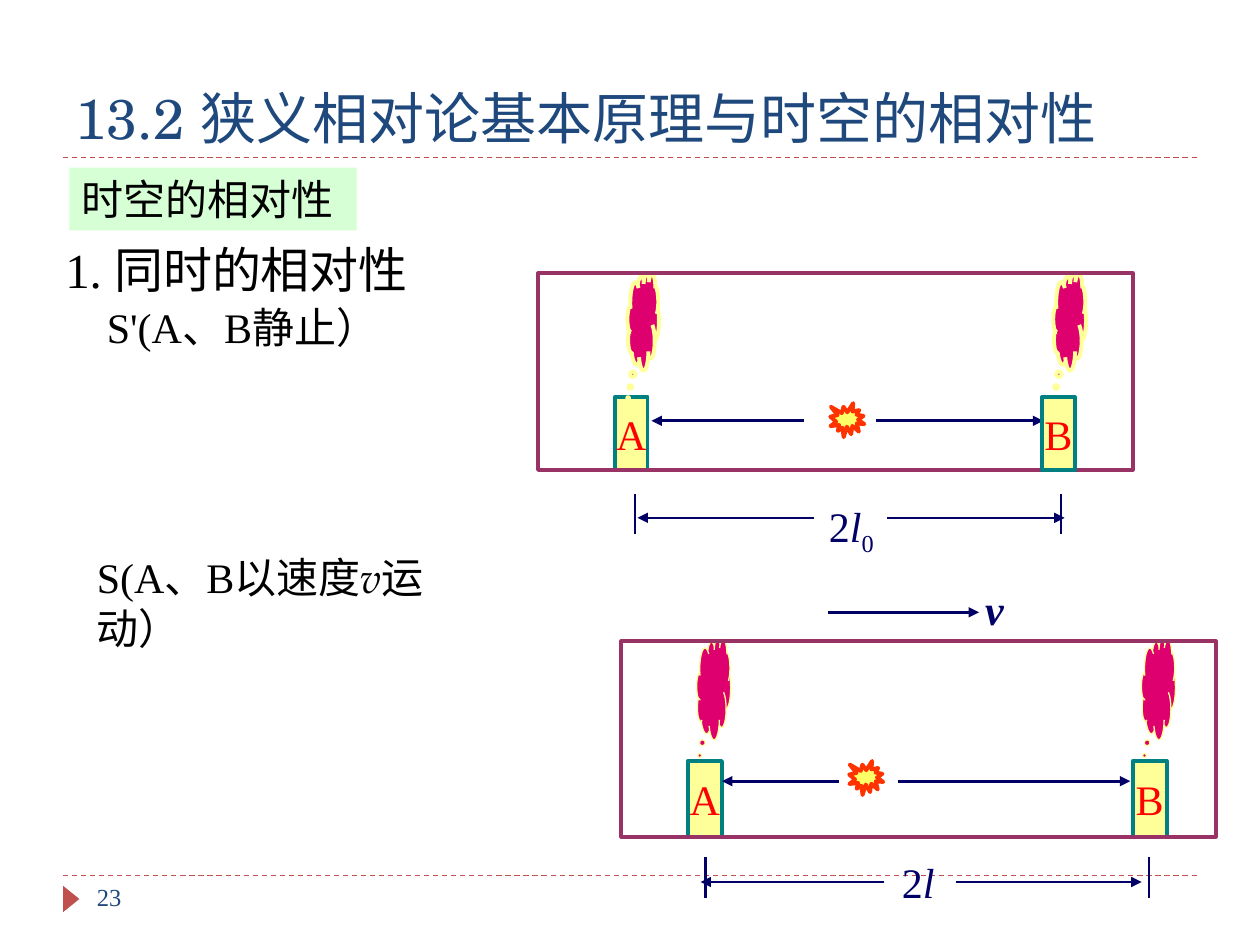
from dataclasses import dataclass
from typing import NamedTuple, Optional

from lxml import etree
from pptx import Presentation
from pptx.dml.color import RGBColor
from pptx.enum.dml import MSO_LINE
from pptx.enum.shapes import MSO_CONNECTOR, MSO_SHAPE
from pptx.enum.text import MSO_ANCHOR, MSO_AUTO_SIZE, PP_ALIGN
from pptx.oxml.ns import qn
from pptx.util import Inches, Pt

RECT = MSO_SHAPE.RECTANGLE
BURST = MSO_SHAPE.EXPLOSION1
CLOUD = MSO_SHAPE.CLOUD_CALLOUT
TRIANGLE = MSO_SHAPE.ISOSCELES_TRIANGLE
STRAIGHT = MSO_CONNECTOR.STRAIGHT
DASH = MSO_LINE.DASH
TOP, MIDDLE, BOTTOM = MSO_ANCHOR.TOP, MSO_ANCHOR.MIDDLE, MSO_ANCHOR.BOTTOM
LEFT, CENTER = PP_ALIGN.LEFT, PP_ALIGN.CENTER

BLACK = RGBColor(0x00, 0x00, 0x00)
WHITE = RGBColor(0xFF, 0xFF, 0xFF)
TITLE_BLUE = RGBColor(0x1F, 0x49, 0x7D)
ACCENT_RED = RGBColor(0xC0, 0x50, 0x4D)
PALE_GREEN = RGBColor(0xCC, 0xFF, 0xCC)
NAVY = RGBColor(0x00, 0x00, 0x66)
YELLOW = RGBColor(0xFF, 0xFF, 0x99)
FLASH_YELLOW = RGBColor(0xFF, 0xFF, 0x66)
FLASH_RED = RGBColor(0xFF, 0x33, 0x00)
TEAL = RGBColor(0x00, 0x80, 0x80)
RED = RGBColor(0xFF, 0x00, 0x00)
MAGENTA = RGBColor(0xDE, 0x00, 0x6F)
PLUM = RGBColor(0x99, 0x33, 0x66)

SERIF = "Times New Roman"
TITLE_FONT = "TeX Gyre Schola"
SYMBOL_FONT = "TeX Gyre Pagella"


class Box(NamedTuple):
    left: float
    top: float
    width: float
    height: float


class Run(NamedTuple):
    text: str
    font: str = SERIF
    bold: bool = False
    italic: bool = False
    baseline: int = 0


class Span(NamedTuple):
    """Horizontal arrow from start to end."""
    start: float
    end: float


@dataclass
class Carriage:
    frame: Box
    receivers: tuple[Box, Box]
    b_in_front: bool
    clouds: tuple[Box, Box]
    cloud_tail: tuple[float, float]
    cloud_line: float
    flash: Box
    light_y: float
    light: tuple[Span, Span]
    ticks: tuple[float, float]
    tick_top: float
    tick_bottom: float
    measure_y: float
    measure: tuple[Span, Span]
    length_box: Box
    length_runs: list[Run]


def write(frame, runs: list[Run], size: float, color: RGBColor,
          align=LEFT, anchor=TOP, wrap: bool = True) -> None:
    frame.word_wrap = wrap
    frame.auto_size = MSO_AUTO_SIZE.NONE
    frame.vertical_anchor = anchor
    paragraph = frame.paragraphs[0]
    paragraph.alignment = align
    for part in runs:
        run = paragraph.add_run()
        run.text = part.text
        font = run.font
        font.name, font.size = part.font, Pt(size)
        font.bold, font.italic = part.bold, part.italic
        font.color.rgb = color
        if part.baseline:
            font._element.set("baseline", str(part.baseline * 1000))


def add_text(shapes, box: Box, runs: list[Run], size: float = 24,
             color: RGBColor = BLACK) -> None:
    label = shapes.add_textbox(*map(Inches, box))
    write(label.text_frame, runs, size, color)


def add_shape(shapes, kind, box: Box, fill: Optional[RGBColor] = None,
              line: Optional[RGBColor] = None, width: float = 2.25):
    shape = shapes.add_shape(kind, *map(Inches, box))
    shape.shadow.inherit = False
    if fill is None:
        shape.fill.background()
    else:
        shape.fill.solid()
        shape.fill.fore_color.rgb = fill
    if line is None:
        shape.line.fill.background()
    else:
        shape.line.color.rgb = line
        shape.line.width = Pt(width)
    return shape


def add_line(shapes, x1: float, y1: float, x2: float, y2: float,
             color: RGBColor = NAVY, width: float = 1.5, arrow: bool = False):
    line = shapes.add_connector(STRAIGHT, *map(Inches, (x1, y1, x2, y2)))
    line.line.color.rgb = color
    line.line.width = Pt(width)
    if arrow:
        etree.SubElement(line.line._get_or_add_ln(), qn("a:tailEnd"), type="triangle")
    etree.SubElement(line._element.spPr, qn("a:effectLst"))
    return line


def add_receiver(shapes, box: Box, name: str) -> None:
    receiver = add_shape(shapes, RECT, box, YELLOW, TEAL)
    write(receiver.text_frame, [Run(name)], 24, RED, CENTER, MIDDLE, wrap=False)


def add_carriage(shapes, car: Carriage) -> None:
    receiver_a, receiver_b = car.receivers
    add_receiver(shapes, receiver_a, "A")
    if not car.b_in_front:
        add_receiver(shapes, receiver_b, "B")
    for box in car.clouds:
        cloud = add_shape(shapes, CLOUD, box, MAGENTA, YELLOW, car.cloud_line)
        cloud.adjustments[0], cloud.adjustments[1] = car.cloud_tail
    # Light signals and the length measure
    for y, spans in ((car.light_y, car.light), (car.measure_y, car.measure)):
        for span in spans:
            add_line(shapes, span.start, y, span.end, y, arrow=True)
    for x in car.ticks:
        add_line(shapes, x, car.tick_top, x, car.tick_bottom)
    add_text(shapes, car.length_box, car.length_runs, color=NAVY)
    # Floor and walls
    left, top, width, height = car.frame
    floor = top + height
    add_line(shapes, left, floor, left + width, floor, WHITE, car.cloud_line)
    add_shape(shapes, RECT, car.frame, line=PLUM)
    if car.b_in_front:
        add_receiver(shapes, receiver_b, "B")
    add_shape(shapes, BURST, car.flash, FLASH_YELLOW, FLASH_RED)


AT_REST = Carriage(
    frame=Box(4.27, 2.17, 4.72, 1.56),
    receivers=(Box(4.88, 3.15, 0.26, 0.58), Box(8.27, 3.15, 0.26, 0.58)), b_in_front=True,
    clouds=(Box(4.98, 2.17, 0.25, 0.77), Box(8.36, 2.17, 0.26, 0.77)),
    cloud_tail=(-0.48, 0.785), cloud_line=2.25, flash=Box(6.59, 3.2, 0.27, 0.27),
    light_y=3.34, light=(Span(6.95, 8.28), Span(6.38, 5.17)),
    ticks=(5.04, 8.42), tick_top=3.92, tick_bottom=4.24,
    measure_y=4.11, measure=(Span(6.46, 5.06), Span(7.04, 8.45)),
    length_box=Box(6.48, 3.92, 0.68, 0.5),
    length_runs=[Run("2"), Run("l", italic=True), Run("0", baseline=-25)])

MOVING = Carriage(
    frame=Box(4.93, 5.09, 4.72, 1.55),
    receivers=(Box(5.46, 6.04, 0.27, 0.6), Box(8.99, 6.04, 0.27, 0.6)), b_in_front=False,
    clouds=(Box(5.53, 5.07, 0.27, 0.8), Box(9.06, 5.07, 0.27, 0.8)),
    cloud_tail=(-0.48, 0.766), cloud_line=0.75, flash=Box(6.74, 6.04, 0.27, 0.27),
    light_y=6.2, light=(Span(7.13, 8.97), Span(6.66, 5.73)),
    ticks=(5.6, 9.12), tick_top=6.8, tick_bottom=7.13,
    measure_y=7, measure=(Span(7.02, 5.56), Span(7.59, 9.06)),
    length_box=Box(7.06, 6.75, 0.53, 0.5),
    length_runs=[Run("2"), Run("l", italic=True)])


def main() -> None:
    deck = Presentation()
    deck.slide_width, deck.slide_height = Inches(10), Inches(7.5)
    slide = deck.slides.add_slide(deck.slide_layouts[5])
    shapes = slide.shapes

    # Title, dashed rules and page number
    title = shapes.title
    title.left, title.top, title.width, title.height = map(Inches, (0.5, 0.25, 9, 1))
    write(title.text_frame, [Run("13.2 狭义相对论基本原理与时空的相对性", TITLE_FONT)],
          32, TITLE_BLUE, anchor=BOTTOM)
    for y in (6.95, 1.25):
        rule = add_line(shapes, 0.5, y, 9.5, y, ACCENT_RED, 0.75)
        rule.line.dash_style = DASH
    page_marker = add_shape(shapes, TRIANGLE, Box(0.46, 7.07, 0.21, 0.13), ACCENT_RED)
    page_marker.rotation = 90
    add_text(shapes, Box(0.67, 6.95, 2.17, 0.4), [Run("23")], 14, TITLE_BLUE)

    # Section label and heading
    section = add_shape(shapes, RECT, Box(0.55, 1.33, 2.28, 0.5), PALE_GREEN)
    tint = section.fill._xPr.find(".//" + qn("a:srgbClr"))
    etree.SubElement(tint, qn("a:alpha"), val="80000")
    write(section.text_frame, [Run("时空的相对性")], 24, BLACK, anchor=MIDDLE, wrap=False)
    add_text(shapes, Box(0.42, 1.85, 3.17, 0.57), [Run("1. 同时的相对性")], 28)

    # The two reference frames
    for carriage in (AT_REST, MOVING):
        add_carriage(shapes, carriage)
    add_line(shapes, 6.57, 4.86, 7.77, 4.86, arrow=True)
    add_text(shapes, Box(7.72, 4.58, 0.68, 0.5), [Run("v", bold=True, italic=True)], color=NAVY)
    add_text(shapes, Box(0.67, 4.33, 3.17, 0.5),
             [Run("S(A、B以速度"), Run("v", SYMBOL_FONT, italic=True), Run("运动）")])
    add_text(shapes, Box(0.75, 2.34, 2.44, 0.5), [Run("S'(A、B静止）")])

    deck.save("out.pptx")


if __name__ == "__main__":
    main()
